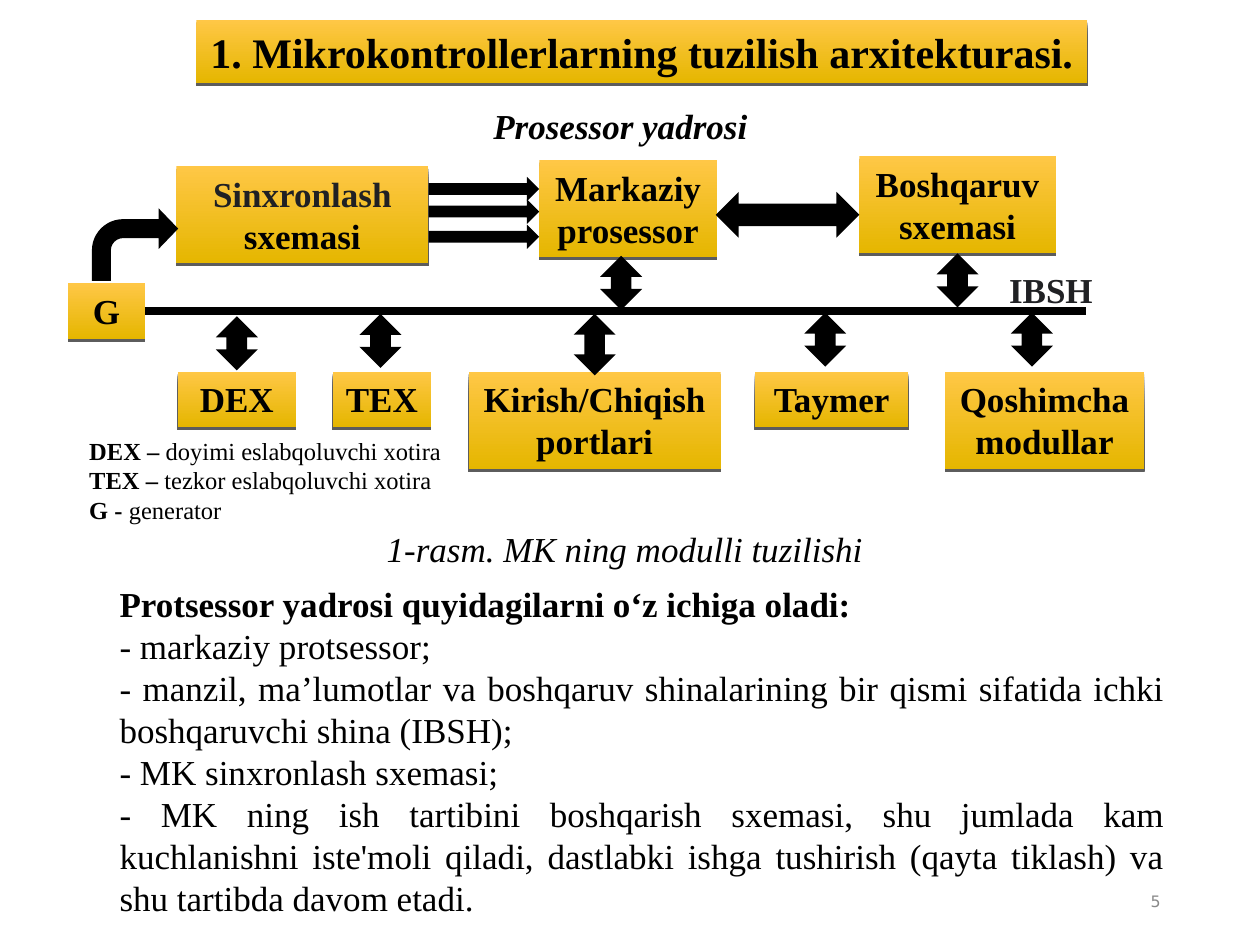
"""Build the slide on the modular architecture of a microcontroller."""
import lxml.etree
import pptx
import pptx.dml.color
import pptx.enum.shapes
import pptx.enum.text
import pptx.oxml.ns
import pptx.util

Inches = pptx.util.Inches
Pt = pptx.util.Pt
RGBColor = pptx.dml.color.RGBColor
MSO_SHAPE = pptx.enum.shapes.MSO_SHAPE
PP_ALIGN = pptx.enum.text.PP_ALIGN
qn = pptx.oxml.ns.qn

BLACK = RGBColor(0, 0, 0)
CHARCOAL = RGBColor(0x20, 0x21, 0x24)
GREY = RGBColor(0x89, 0x89, 0x89)
GOLD_TOP = RGBColor(0xFF, 0xC7, 0x46)
GOLD_BOTTOM = RGBColor(0xE5, 0xB6, 0x00)

prs = pptx.Presentation()
prs.slide_width, prs.slide_height = Inches(10), Inches(7.5)
s = prs.slides.add_slide(prs.slide_layouts[6])


def write(p, text, size=20, bold=False, italic=False, color=BLACK,
          align=PP_ALIGN.LEFT, font="Times New Roman"):
    p.alignment = align
    r = p.add_run()
    r.text = text
    r.font.name, r.font.size = font, Pt(size)
    r.font.bold, r.font.italic = bold, italic
    r.font.color.rgb = color


def add_box(at, kind=None):
    at = [Inches(v) for v in at]
    sp = s.shapes.add_shape(kind, *at) if kind else s.shapes.add_textbox(*at)
    if kind:
        sp.shadow.inherit = False
    sp.text_frame.word_wrap = True
    return sp


sp = add_box((7.06, 6.95, 2.25, 0.4))
sp.text_frame.vertical_anchor = pptx.enum.text.MSO_ANCHOR.MIDDLE
write(sp.text_frame.paragraphs[0], "5", size=9, color=GREY,
      align=PP_ALIGN.RIGHT, font="DejaVu Sans")

tf = add_box((0.85, 4.57, 8.49, 2.77)).text_frame
core_parts = [
    "Protsessor yadrosi quyidagilarni o‘z ichiga oladi:",
    "- markaziy protsessor;",
    "- manzil, ma’lumotlar va boshqaruv shinalarining bir qismi sifatida "
    "ichki boshqaruvchi shina (IBSH);",
    "- MK sinxronlash sxemasi;",
    "- MK ning ish tartibini boshqarish sxemasi, shu jumlada kam kuchlanishni "
    "iste'moli qiladi, dastlabki ishga tushirish (qayta tiklash) va shu "
    "tartibda davom etadi.",
]
for i, line in enumerate(core_parts):
    p = tf.add_paragraph() if i else tf.paragraphs[0]
    write(p, line, bold=i == 0, align=PP_ALIGN.JUSTIFY)

TITLE = " Mikrokontrollerlarning tuzilish arxitekturasi."
blocks = {}
for text, at in [
    (TITLE, (1.56, 0.16, 7.07, 0.5)),
    ("Sinxronlash sxemasi", (1.4, 1.32, 2, 0.77)),
    ("Markaziy prosessor", (4.28, 1.27, 1.41, 0.77)),
    ("Boshqaruv sxemasi", (6.82, 1.24, 1.56, 0.77)),
    ("G", (0.54, 2.25, 0.61, 0.44)),
    ("DEX", (1.41, 2.95, 0.94, 0.44)),
    ("TEX", (2.64, 2.95, 0.78, 0.44)),
    ("Kirish/Chiqish portlari", (3.72, 2.95, 2, 0.77)),
    ("Taymer", (5.99, 2.95, 1.22, 0.44)),
    ("Qoshimcha modullar", (7.5, 2.95, 1.58, 0.77)),
]:
    sp = blocks[text] = add_box(at, MSO_SHAPE.RECTANGLE)
    sp.fill.gradient()
    sp.fill.gradient_angle = 270
    for stop, color in zip(sp.fill.gradient_stops, (GOLD_TOP, GOLD_BOTTOM)):
        stop.color.rgb = color
    sp.line.fill.background()
    effects = sp._element.spPr.find(qn("a:effectLst"))
    shadow = lxml.etree.SubElement(
        effects, qn("a:outerShdw"), blurRad="0", dist=str(Pt(1.5)),
        dir="5400000", algn="ctr", rotWithShape="0")
    color = lxml.etree.SubElement(shadow, qn("a:srgbClr"), val=str(BLACK))
    lxml.etree.SubElement(color, qn("a:alpha"), val="63000")
    tf = sp.text_frame
    tf.vertical_anchor = pptx.enum.text.MSO_ANCHOR.TOP
    p = tf.paragraphs[0]
    if text == TITLE:
        pPr = p._p.get_or_add_pPr()
        color = lxml.etree.SubElement(pPr, qn("a:buClr"))
        lxml.etree.SubElement(color, qn("a:srgbClr"), val=str(BLACK))
        lxml.etree.SubElement(pPr, qn("a:buAutoNum"), type="arabicPeriod")
    if text.startswith("Sinxronlash"):
        first, rest = text.split()
        write(p, first, bold=True, color=CHARCOAL)
        write(p, " " + rest, bold=True, align=PP_ALIGN.CENTER)
    else:
        write(p, text, size=24 if text == TITLE else 20, bold=True,
              align=PP_ALIGN.CENTER)

bus = s.shapes.add_connector(
    pptx.enum.shapes.MSO_CONNECTOR.STRAIGHT,
    Inches(1.15), Inches(2.47), Inches(8.62), Inches(2.47))
bus.begin_connect(blocks["G"], 3)
bus.line.color.rgb, bus.line.width = BLACK, Pt(4.5)
lxml.etree.SubElement(bus._element.spPr, qn("a:effectLst"))

arrows = [(MSO_SHAPE.UP_DOWN_ARROW, (x, y, 0.3, h)) for x, y, h in [
    (4.78, 2.04, 0.41), (7.45, 2.02, 0.41), (8.04, 2.49, 0.41),
    (6.4, 2.49, 0.41), (4.57, 2.5, 0.47), (2.87, 2.5, 0.41),
    (1.73, 2.52, 0.41)]]
arrows += [(MSO_SHAPE.RIGHT_ARROW, (3.41, y, 0.86, 0.16))
           for y in (1.42, 1.6, 1.8)]
arrows += [(MSO_SHAPE.LEFT_RIGHT_ARROW, (5.69, 1.54, 1.12, 0.33)),
           (MSO_SHAPE.BENT_ARROW, (0.74, 1.68, 0.66, 0.54))]
for kind, at in arrows:
    sp = add_box(at, kind)
    sp.fill.solid()
    sp.fill.fore_color.rgb = sp.line.color.rgb = BLACK
    bent = kind == MSO_SHAPE.BENT_ARROW
    sp.line.width = Pt(1.5 if bent else 1)
    outline = sp._element.spPr.find(qn("a:ln"))
    lxml.etree.SubElement(outline, qn("a:miter"), lim="800000")
    for i, value in enumerate((0.24, 0.25, 0.24, 0.44) if bent else (0.5, 0.5)):
        sp.adjustments[i] = value

tf = add_box((2.97, 4.14, 4.24, 0.44)).text_frame
write(tf.paragraphs[0], "1-rasm. MK ning modulli tuzilishi", italic=True)

tf = add_box((3.71, 0.78, 2.43, 0.44)).text_frame
write(tf.paragraphs[0], "Prosessor yadrosi", bold=True, italic=True,
      align=PP_ALIGN.CENTER)

tf = add_box((0.61, 3.41, 3.02, 0.8)).text_frame
for i, (term, meaning) in enumerate([
    ("DEX – ", "doyimi eslabqoluvchi xotira"),
    ("TEX – ", "tezkor eslabqoluvchi xotira"),
    ("G - ", "generator"),
]):
    p = tf.add_paragraph() if i else tf.paragraphs[0]
    write(p, term, size=14, bold=True)
    write(p, meaning, size=14, align=PP_ALIGN.JUSTIFY)

tf = add_box((7.91, 2.08, 0.95, 0.44)).text_frame
write(tf.paragraphs[0], "IBSH", bold=True, color=CHARCOAL)

prs.save("out.pptx")
